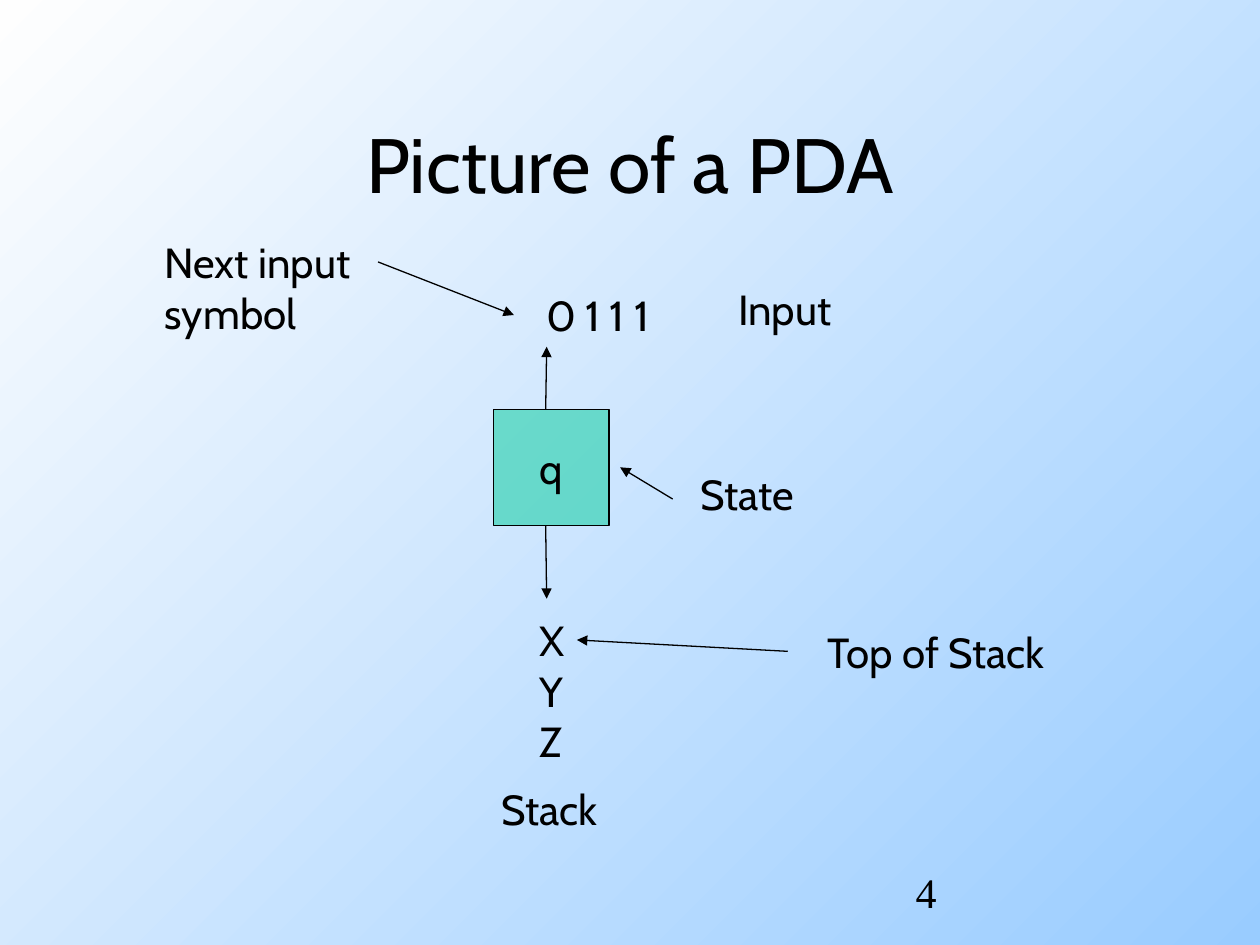
"""Build a slide that shows the parts of a pushdown automaton."""
from lxml.etree import SubElement
from pptx import Presentation
from pptx.dml.color import RGBColor
from pptx.enum.shapes import MSO_CONNECTOR as CONN, MSO_SHAPE as SHAPE
from pptx.enum.text import MSO_ANCHOR as ANCHOR, PP_ALIGN as ALIGN
from pptx.oxml.ns import qn
from pptx.util import Cm, Pt

COLORS = {"ink": "000000", "state": "00CC99", "deep": "99CCFF", "light": "FEFEFE"}
BODY = {"name": "Cabin", "size": Pt(24)}
TITLE = {"name": "Cabin", "size": Pt(44)}
NUMBER = {"name": "Times New Roman", "size": Pt(24)}
CENTERED = {"align": ALIGN.CENTER, "anchor": ANCHOR.MIDDLE}

LABELS = [
    (" 0 1 1 1", 10.57, 5.72, 3.33, 1.27),
    ("X\nY\nZ", 10.62, 12.27, 0.99, 3.3),
    ("State", 13.87, 9.32, 2.54, 1.27),
    ("Stack", 9.86, 15.67, 2.62, 1.27),
    ("Top of Stack", 16.43, 12.5, 5.36, 1.27),
    ("Input", 14.63, 5.59, 2.67, 1.27),
    ("Next input\nsymbol", 3.07, 4.65, 4.7, 2.29),
]
ARROWS = [
    (11, 8.26, 11.02, 6.99),
    (11, 10.59, 11.02, 12.07),
    (13.56, 10.06, 12.5, 9.42),
    (15.88, 13.13, 11.63, 12.9),
    (7.62, 5.28, 10.36, 6.35),
]


def rgb(name):
    """Return the named colour."""
    return RGBColor.from_string(COLORS[name])


def paint_background(s):
    """Fill the slide with a diagonal gradient."""
    fill = s.background.fill
    fill.gradient()
    fill.gradient_angle = 135
    for stop, position, name in zip(fill.gradient_stops, (0, 1), ("deep", "light")):
        stop.position = position
        stop.color.rgb = rgb(name)


def write(sp, text, font=BODY, wrap=False, align=ALIGN.LEFT, anchor=ANCHOR.TOP):
    """Put formatted text into a shape, one paragraph a line."""
    tf = sp.text_frame
    tf.text = text
    tf.word_wrap = wrap
    tf.vertical_anchor = anchor
    for p in tf.paragraphs:
        p.alignment = align
        for r in p.runs:
            r.font.color.rgb = rgb("ink")
            for key, value in font.items():
                setattr(r.font, key, value)


def add_text(s, text, *box, **style):
    """Add a text box."""
    write(s.shapes.add_textbox(*map(Cm, box)), text, **style)


def add_state(s, text, *box):
    """Add the half-transparent square of the current state."""
    sp = s.shapes.add_shape(SHAPE.RECTANGLE, *map(Cm, box))
    sp.shadow.inherit = False
    sp.fill.solid()
    sp.fill.fore_color.rgb = rgb("state")
    color = sp.fill._xPr.find(qn("a:solidFill"))[0]
    SubElement(color, qn("a:alpha"), val="50000")
    sp.line.color.rgb = rgb("ink")
    sp.line.width = Pt(0.75)
    write(sp, text, **CENTERED)


def add_arrow(s, *ends):
    """Add a line with an arrowhead at its end."""
    line = s.shapes.add_connector(CONN.STRAIGHT, *map(Cm, ends))
    line.line.color.rgb = rgb("ink")
    line.line.width = Pt(0.75)
    SubElement(line.line._get_or_add_ln(), qn("a:tailEnd"), type="triangle")
    SubElement(line._element.spPr, qn("a:effectLst"))


def main():
    """Build and save the slide."""
    prs = Presentation()
    prs.slide_width, prs.slide_height = Cm(25.4), Cm(19.05)
    s = prs.slides.add_slide(prs.slide_layouts[6])
    paint_background(s)
    add_text(s, "Picture of a PDA", 1.91, 1.69, 21.59, 3.18,
             font=TITLE, wrap=True, **CENTERED)
    add_state(s, "q", 9.95, 8.26, 2.33, 2.33)
    for label in LABELS:
        add_text(s, *label)
    for arrow in ARROWS:
        add_arrow(s, *arrow)
    add_text(s, "4", 18.21, 17.35, 5.28, 1.27, font=NUMBER, wrap=True)
    prs.save("out.pptx")


if __name__ == "__main__":
    main()
